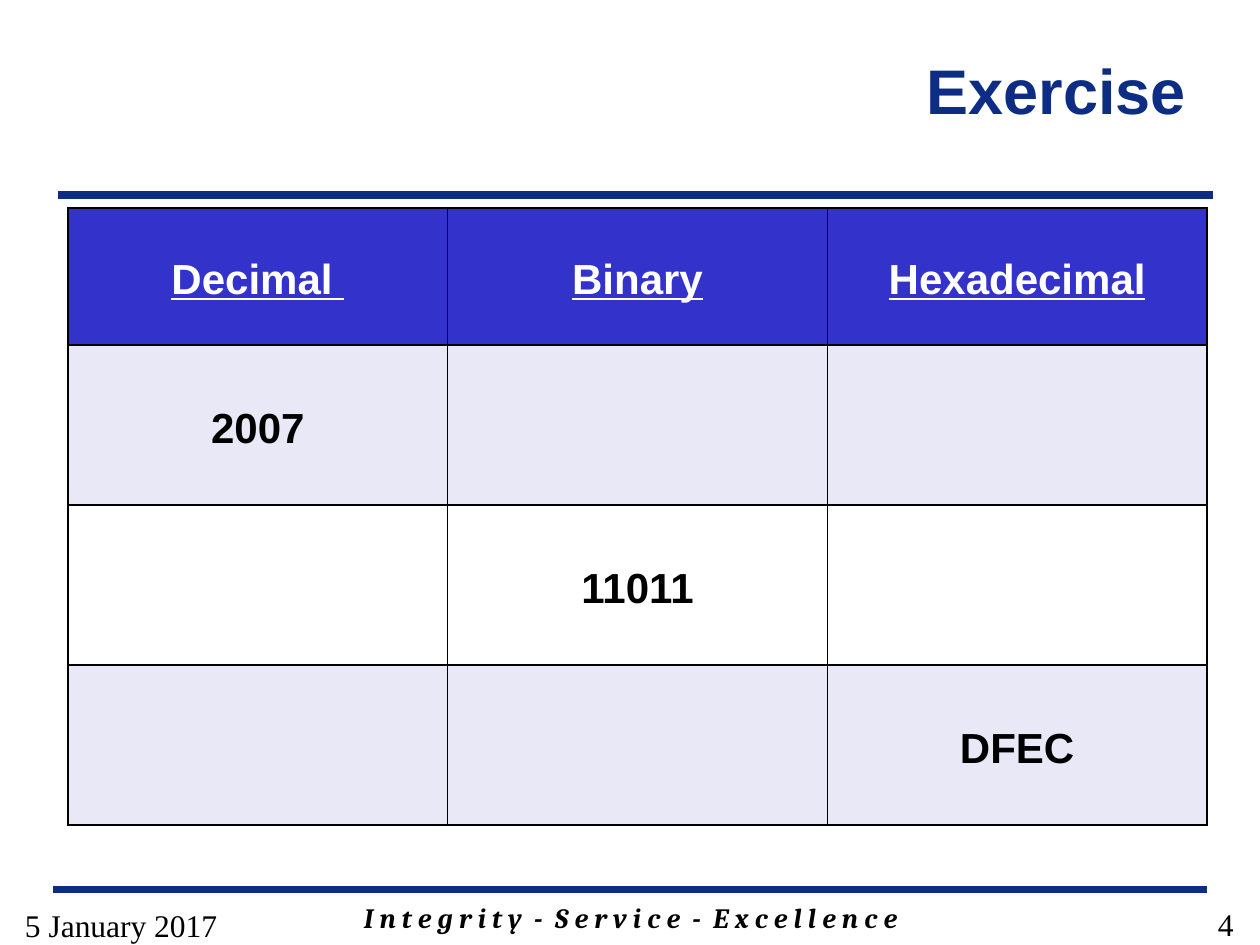
from lxml.etree import SubElement
from pptx import Presentation
from pptx.dml.color import RGBColor
from pptx.enum.shapes import MSO_CONNECTOR
from pptx.enum.text import MSO_ANCHOR, PP_ALIGN
from pptx.oxml.ns import qn
from pptx.util import Inches, Pt

COLORS = {
    "navy": "0C2D83",
    "header": "3333CC",
    "band": "E8E8F6",
    "white": "FFFFFF",
    "black": "000000",
}
COLS, ROWS = 100, 75


class Deck:
    """Draws styled elements on the current slide, placed on a 100 by 75 grid."""

    def __init__(self):
        self.prs = Presentation()
        self.prs.slide_width, self.prs.slide_height = Inches(10), Inches(7.5)
        self.s = self.prs.slides.add_slide(self.prs.slide_layouts[6])

    def x(self, cols):
        return round(self.prs.slide_width * cols / COLS)

    def y(self, rows):
        return round(self.prs.slide_height * rows / ROWS)

    def box(self, left, top, width, height):
        return self.x(left), self.y(top), self.x(width), self.y(height)

    def run(self, p, text, size, color, font="Arial", bold=False, italic=False, underline=False):
        r = p.add_run()
        r.text = text
        f = r.font
        f.name, f.size = font, Pt(size)
        f.bold, f.italic, f.underline = bold, italic, underline
        f.color.rgb = RGBColor.from_string(COLORS[color])

    def text(self, area, text, size, color, align, anchor=MSO_ANCHOR.TOP, **style):
        tf = self.s.shapes.add_textbox(*self.box(*area)).text_frame
        tf.word_wrap = True
        tf.vertical_anchor = anchor
        p = tf.paragraphs[0]
        p.alignment = align
        self.run(p, text, size, color, **style)

    def rule(self, left, right, row):
        y = self.y(row)
        line = self.s.shapes.add_connector(MSO_CONNECTOR.STRAIGHT, self.x(left), y, self.x(right), y)
        line.line.width = Pt(4.5)
        line.line.color.rgb = RGBColor.from_string(COLORS["navy"])
        SubElement(line._element.spPr, qn("a:effectLst"))

    def borders(self, cell):
        pr = cell._tc.get_or_add_tcPr()
        for side in ("a:lnL", "a:lnR", "a:lnT", "a:lnB"):
            ln = SubElement(pr, qn(side), w=str(Pt(1)))
            fill = SubElement(ln, qn("a:solidFill"))
            SubElement(fill, qn("a:srgbClr"), val=COLORS["black"])

    def cell(self, cell, text, fill, color, underline):
        self.borders(cell)
        cell.fill.solid()
        cell.fill.fore_color.rgb = RGBColor.from_string(COLORS[fill])
        cell.vertical_anchor = MSO_ANCHOR.MIDDLE
        cell.margin_left = cell.margin_right = Inches(0.07)
        cell.margin_top = cell.margin_bottom = 0
        if text:
            p = cell.text_frame.paragraphs[0]
            p.alignment, p.line_spacing = PP_ALIGN.CENTER, 1.15
            self.run(p, text, 24, color, bold=True, underline=underline)

    def table(self, area, header_height, rows):
        table = self.s.shapes.add_table(len(rows), len(rows[0]), *self.box(*area)).table
        body_height = (area[3] - header_height) / (len(rows) - 1)
        for col in table.columns:
            col.width = self.x(area[2] / len(rows[0]))
        for i, values in enumerate(rows):
            table.rows[i].height = self.y(body_height if i else header_height)
            fill = "header" if i == 0 else "band" if i % 2 else "white"
            for j, value in enumerate(values):
                self.cell(table.cell(i, j), value, fill, "black" if i else "white", i == 0)


def main():
    deck = Deck()
    deck.rule(4.2, 95.8, 70.6)
    deck.rule(4.6, 96.3, 15.5)
    deck.text((14.2, 71, 71.7, 3.7), "I n t e g r i t y  -  S e r v i c e  -  E x c e l l e n c e", 16, "black",
              PP_ALIGN.CENTER, font="Cambria", bold=True, italic=True)
    deck.text((20.9, 0.8, 74.2, 12.5), "Exercise", 36, "navy", PP_ALIGN.RIGHT, MSO_ANCHOR.MIDDLE, bold=True)
    deck.table((5.4, 16.5, 90.4, 49), 10.9, [
        ["Decimal ", "Binary", "Hexadecimal"],
        ["2007", "", ""],
        ["", "11011", ""],
        ["", "", "DFEC"],
    ])
    deck.text((75.6, 71.3, 23.3, 3.7), "4", 18, "black", PP_ALIGN.RIGHT, font="Times New Roman")
    deck.text((1, 71.4, 23.3, 3.6), "5 January 2017", 18, "black", PP_ALIGN.LEFT, font="Times New Roman")
    deck.prs.save("out.pptx")


if __name__ == "__main__":
    main()
